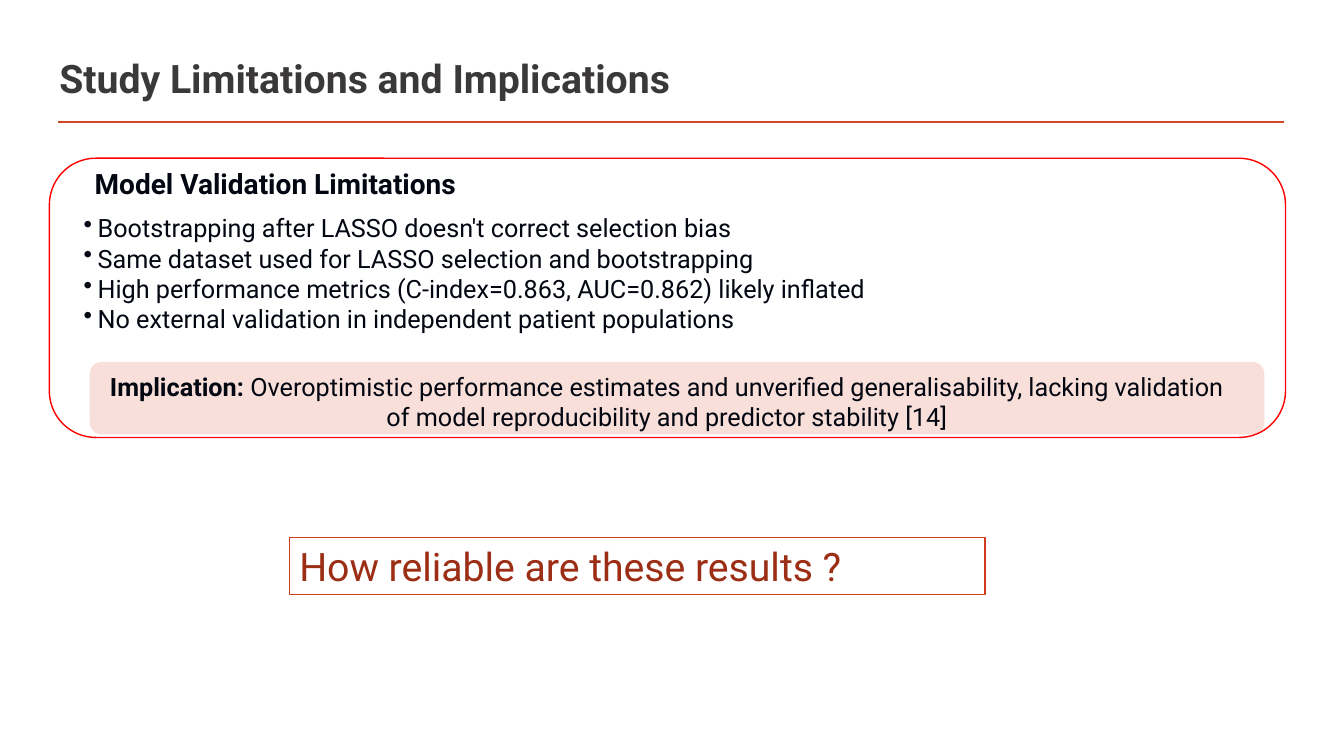
from dataclasses import dataclass

import pptx
import pptx.dml.color
import pptx.enum.shapes
import pptx.enum.text
import pptx.oxml
import pptx.oxml.ns
import pptx.util

Inches = pptx.util.Inches
Pt = pptx.util.Pt
RGB = pptx.dml.color.RGBColor.from_string
Shape = pptx.enum.shapes.MSO_SHAPE
Anchor = pptx.enum.text.MSO_ANCHOR
Align = pptx.enum.text.PP_ALIGN


@dataclass(frozen=True)
class Theme:
    font: str = "Roboto"
    title: str = "3B3838"
    body: str = "030712"
    question: str = "9B2E15"
    rule: str = "D24726"
    panel_line: str = "FF0000"
    question_line: str = "CF3D1C"
    implication_fill: str = "EB856E"
    white: str = "FFFFFF"
    large: int = 28
    heading: int = 20
    text: int = 18


theme = Theme()
presentation = pptx.Presentation()
presentation.slide_width = Inches(13.33)
presentation.slide_height = Inches(7.5)
slide = presentation.slides.add_slide(presentation.slide_layouts[6])


def add_box(kind, left, top, width, height, fill, line=None):
    shape = slide.shapes.add_shape(
        kind, Inches(left), Inches(top), Inches(width), Inches(height))
    shape.shadow.inherit = False
    shape.fill.solid()
    shape.fill.fore_color.rgb = RGB(fill)
    if line:
        shape.line.color.rgb = RGB(line)
        shape.line.width = Pt(1)
    else:
        shape.line.fill.background()
    return shape


def write(shape, paragraphs, size, color, bold=False, align=Align.LEFT,
          anchor=Anchor.TOP, bullet_indent=None):
    """Fill a shape with paragraphs, each a list of runs; bold marks the first run."""
    frame = shape.text_frame
    frame.word_wrap = True
    frame.vertical_anchor = anchor
    for index, runs in enumerate(paragraphs):
        paragraph = frame.paragraphs[0] if index == 0 else frame.add_paragraph()
        paragraph.alignment = align
        if bullet_indent:
            properties = paragraph._p.get_or_add_pPr()
            properties.set("marL", str(Inches(bullet_indent)))
            properties.set("indent", str(-Inches(bullet_indent)))
            properties.append(pptx.oxml.parse_xml(
                f'<a:buChar {pptx.oxml.ns.nsdecls("a")} char="•"/>'))
        for position, text in enumerate(runs):
            run = paragraph.add_run()
            run.text = text
            run.font.name = theme.font
            run.font.size = Pt(size)
            run.font.color.rgb = RGB(color)
            run.font.bold = bold and position == 0


# Title and rule
rule = slide.shapes.add_connector(
    pptx.enum.shapes.MSO_CONNECTOR.STRAIGHT,
    Inches(0.58), Inches(1.21), Inches(12.74), Inches(1.21))
rule.line.color.rgb = RGB(theme.rule)
rule.line.width = Pt(2)
rule._element.spPr.append(pptx.oxml.parse_xml(
    f'<a:effectLst {pptx.oxml.ns.nsdecls("a")}/>'))

title = slide.shapes.add_textbox(Inches(0.49), Inches(0.47), Inches(12.26), Inches(0.61))
write(title, [["Study Limitations and Implications"]], theme.large, theme.title,
      bold=True, anchor=Anchor.MIDDLE)

# Limitations panel
add_box(Shape.ROUNDED_RECTANGLE, 0.49, 1.57, 12.26, 2.77, theme.white, theme.panel_line)

heading = slide.shapes.add_textbox(Inches(0.84), Inches(1.6), Inches(6.13), Inches(0.74))
write(heading, [["Model Validation Limitations"]], theme.heading, theme.body, bold=True)

limitations = slide.shapes.add_textbox(Inches(0.73), Inches(2.06), Inches(10.18), Inches(1.62))
write(limitations, [
    ["Bootstrapping after LASSO doesn't correct selection bias"],
    ["Same dataset used for LASSO selection and bootstrapping"],
    ["High performance metrics (C-index=0.863, AUC=0.862) likely inflated"],
    ["No external validation in independent patient populations"],
], theme.text, theme.body, bullet_indent=0.14)

# Implication
band = add_box(Shape.ROUNDED_RECTANGLE, 0.89, 3.59, 11.65, 0.72, theme.implication_fill)
band_color = band._element.spPr.find(".//" + pptx.oxml.ns.qn("a:srgbClr"))
band_color.append(pptx.oxml.parse_xml(
    f'<a:alpha {pptx.oxml.ns.nsdecls("a")} val="26000"/>'))

implication = slide.shapes.add_textbox(Inches(0.94), Inches(3.63), Inches(11.35), Inches(0.72))
write(implication, [[
    "Implication: ",
    "Overoptimistic performance estimates and unverified generalisability, lacking "
    "validation of model reproducibility and predictor stability [14]",
]], theme.text, theme.body, bold=True, align=Align.CENTER)

# Closing question
question = add_box(Shape.RECTANGLE, 2.87, 5.33, 6.9, 0.57, theme.white, theme.question_line)
write(question, [["How reliable are these results ?"]], theme.large, theme.question)

presentation.save("out.pptx")
